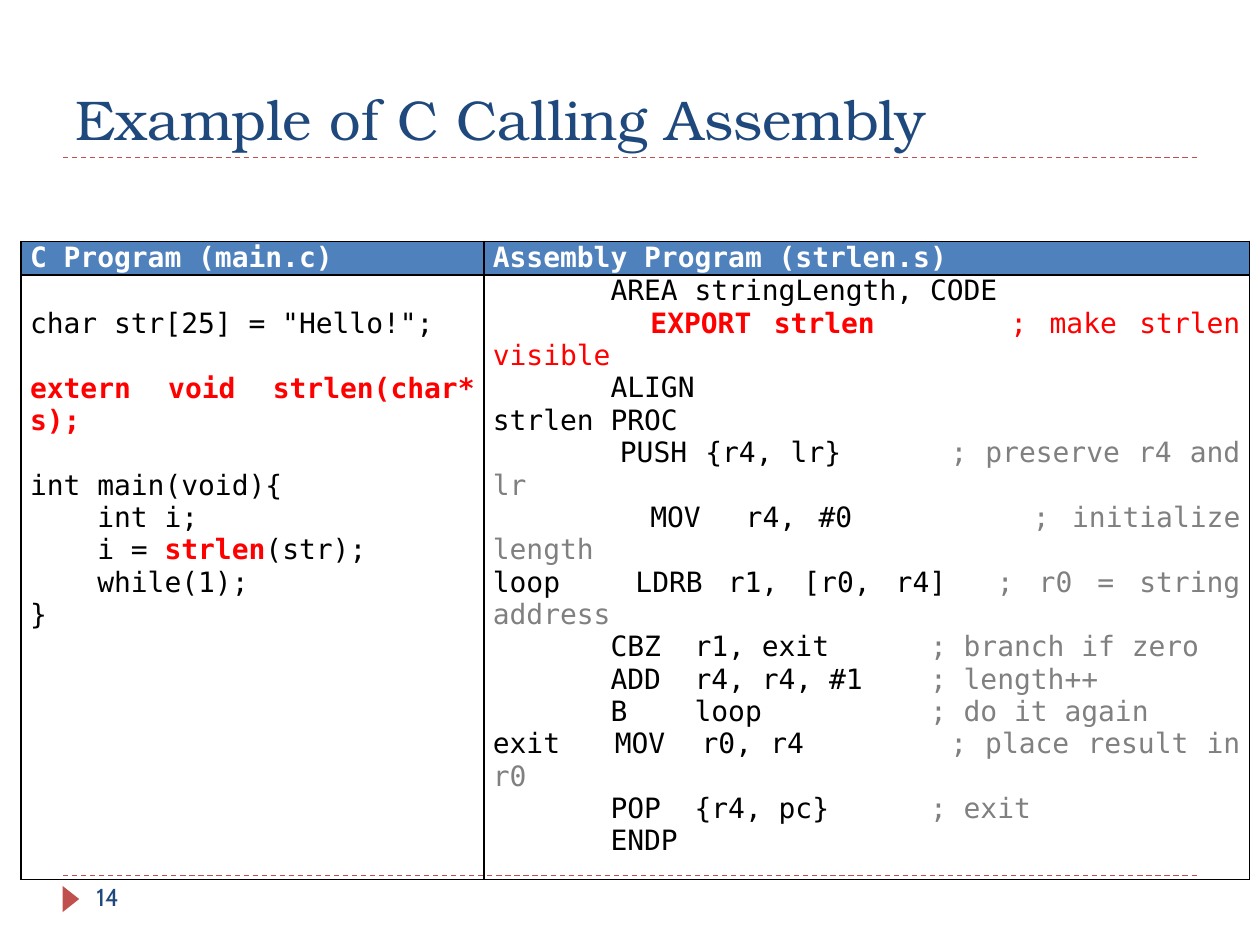
import pptx
import pptx.dml.color
import pptx.enum.dml
import pptx.enum.shapes
import pptx.enum.text
import pptx.oxml
import pptx.oxml.ns
import pptx.util

Pt = pptx.util.Pt
ALIGN = pptx.enum.text.PP_ALIGN
ANCHOR = pptx.enum.text.MSO_ANCHOR

BLACK, WHITE, RED, GRAY = "000000", "FFFFFF", "FF0000", "808080"
NAVY, BLUE, BRICK = "1F497D", "4F81BD", "C0504D"
LINE_HEIGHT = 18.5

# Each code line is a list of (text, color, bold); an empty line is a gap
C_LINES = [
    [],
    [('char str[25] = "Hello!";', BLACK, False)],
    [],
    [("extern void strlen(char* s);", RED, True)],
    [],
    [("int main(void){", BLACK, False)],
    [("    int i;", BLACK, False)],
    [("    i = ", BLACK, False), ("strlen", RED, True), ("(str);", BLACK, False)],
    [("    while(1);", BLACK, False)],
    [("}", BLACK, False)],
]

ASSEMBLY = """\
       AREA stringLength, CODE
       EXPORT strlen      ; make strlen visible
       ALIGN
strlen PROC
       PUSH {r4, lr}      ; preserve r4 and lr
       MOV  r4, #0        ; initialize length
loop   LDRB r1, [r0, r4]  ; r0 = string address
       CBZ  r1, exit      ; branch if zero
       ADD  r4, r4, #1    ; length++
       B    loop          ; do it again
exit   MOV  r0, r4        ; place result in r0
       POP  {r4, pc}      ; exit
       ENDP"""


def rgb(color):
    return pptx.dml.color.RGBColor.from_string(color)


def add_text(paragraph, text, font="DejaVu Sans Mono", size=16, color=BLACK, bold=False):
    run = paragraph.add_run()
    run.text = text
    run.font.name = font
    run.font.size = Pt(size)
    run.font.bold = bold
    run.font.color.rgb = rgb(color)


def add_text_box(slide, left, top, width, height, text, anchor=ANCHOR.TOP, **text_format):
    frame = slide.shapes.add_textbox(Pt(left), Pt(top), Pt(width), Pt(height)).text_frame
    frame.word_wrap = True
    frame.vertical_anchor = anchor
    add_text(frame.paragraphs[0], text, **text_format)


def add_rule(slide, top):
    line = slide.shapes.add_connector(
        pptx.enum.shapes.MSO_CONNECTOR.STRAIGHT, Pt(36), Pt(top), Pt(684), Pt(top))
    line.line.color.rgb = rgb(BRICK)
    line.line.width = Pt(0.75)
    line.line.dash_style = pptx.enum.dml.MSO_LINE.DASH
    properties = line._element.spPr
    properties.append(properties.makeelement(pptx.oxml.ns.qn("a:effectLst"), {}))


def add_marker(slide):
    marker = slide.shapes.add_shape(
        pptx.enum.shapes.MSO_SHAPE.ISOSCELES_TRIANGLE, Pt(33), Pt(509), Pt(15), Pt(9.5))
    marker.rotation = 90
    marker.shadow.inherit = False
    marker.fill.solid()
    marker.fill.fore_color.rgb = rgb(BRICK)
    marker.line.fill.background()


def format_cell(cell, fill=None):
    cell.margin_left = cell.margin_right = Pt(5.2)
    cell.margin_top = cell.margin_bottom = 0
    properties = cell._tc.get_or_add_tcPr()
    for side in ("lnL", "lnR", "lnT", "lnB"):
        properties.append(pptx.oxml.parse_xml(
            f'<a:{side} {pptx.oxml.ns.nsdecls("a")} w="{Pt(1)}">'
            f'<a:solidFill><a:srgbClr val="{BLACK}"/></a:solidFill></a:{side}>'))
    if fill:
        cell.fill.solid()
        cell.fill.fore_color.rgb = rgb(fill)
    else:
        cell.fill.background()


def fill_code(cell, lines):
    frame = cell.text_frame
    gap = 0
    first = True
    for runs in lines:
        if not runs:
            gap += LINE_HEIGHT
            continue
        paragraph = frame.paragraphs[0] if first else frame.add_paragraph()
        paragraph.alignment = ALIGN.JUSTIFY
        if first:
            cell.margin_top = Pt(gap)
        else:
            paragraph.space_before = Pt(gap)
        for text, color, bold in runs:
            add_text(paragraph, text, color=color, bold=bold)
        gap, first = 0, False


def assembly_lines():
    """Gray the comments and stress the export line in red."""
    lines = []
    for line in ASSEMBLY.splitlines():
        code, mark, comment = line.partition(";")
        export = "EXPORT" in code
        runs = [(code, RED if export else BLACK, export)]
        if mark:
            runs.append((mark + comment, RED if export else GRAY, False))
        lines.append(runs)
    return lines


def add_code_table(slide):
    heights = (LINE_HEIGHT, 18 * LINE_HEIGHT)
    widths = (264.5, 437.5)
    table = slide.shapes.add_table(
        2, 2, Pt(12), Pt(138), Pt(sum(widths)), Pt(sum(heights))).table
    table.horz_banding = False
    table.first_row = False
    for row, height in zip(table.rows, heights):
        row.height = Pt(height)
    columns = (("C Program (main.c)", C_LINES),
               ("Assembly Program (strlen.s)", assembly_lines()))
    for index, (heading, lines) in enumerate(columns):
        table.columns[index].width = Pt(widths[index])
        header, body = table.cell(0, index), table.cell(1, index)
        format_cell(header, BLUE)
        format_cell(body)
        fill_code(header, [[(heading, WHITE, True)]])
        fill_code(body, lines)


def main():
    presentation = pptx.Presentation()
    presentation.slide_width, presentation.slide_height = Pt(720), Pt(540)
    slide = presentation.slides.add_slide(presentation.slide_layouts[6])

    # Frame: rules and page marker
    for top in (500.5, 90):
        add_rule(slide, top)
    add_marker(slide)

    # Title and page number
    add_text_box(slide, 36, 12, 648, 78, "Example of C Calling Assembly",
                 anchor=ANCHOR.BOTTOM, font="TeX Gyre Bonum", size=32, color=NAVY)
    add_text_box(slide, 48, 500.5, 156, 29, "14", font="Cabin", size=14, color=NAVY)

    # Code listings
    add_code_table(slide)
    presentation.save("out.pptx")


if __name__ == "__main__":
    main()
